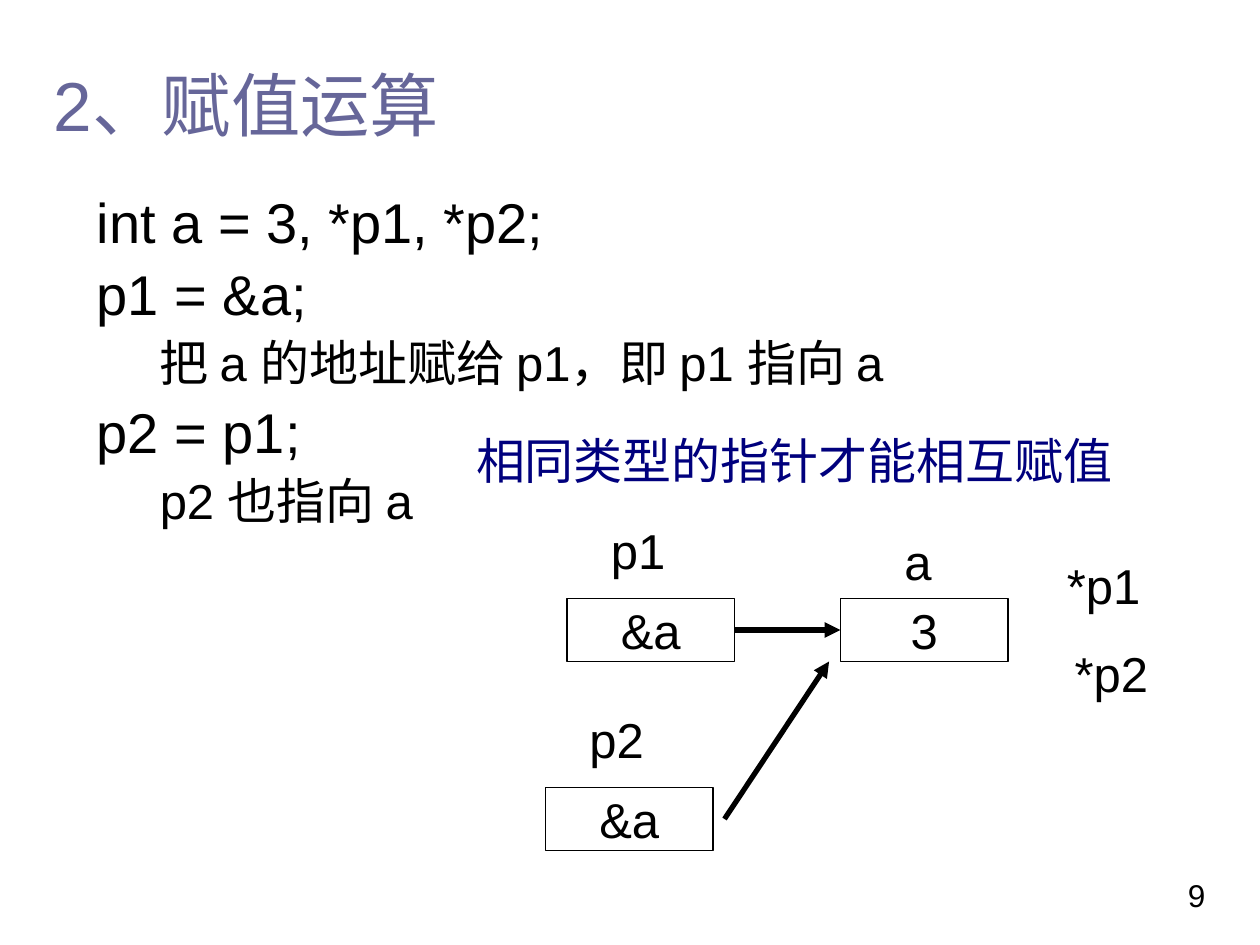
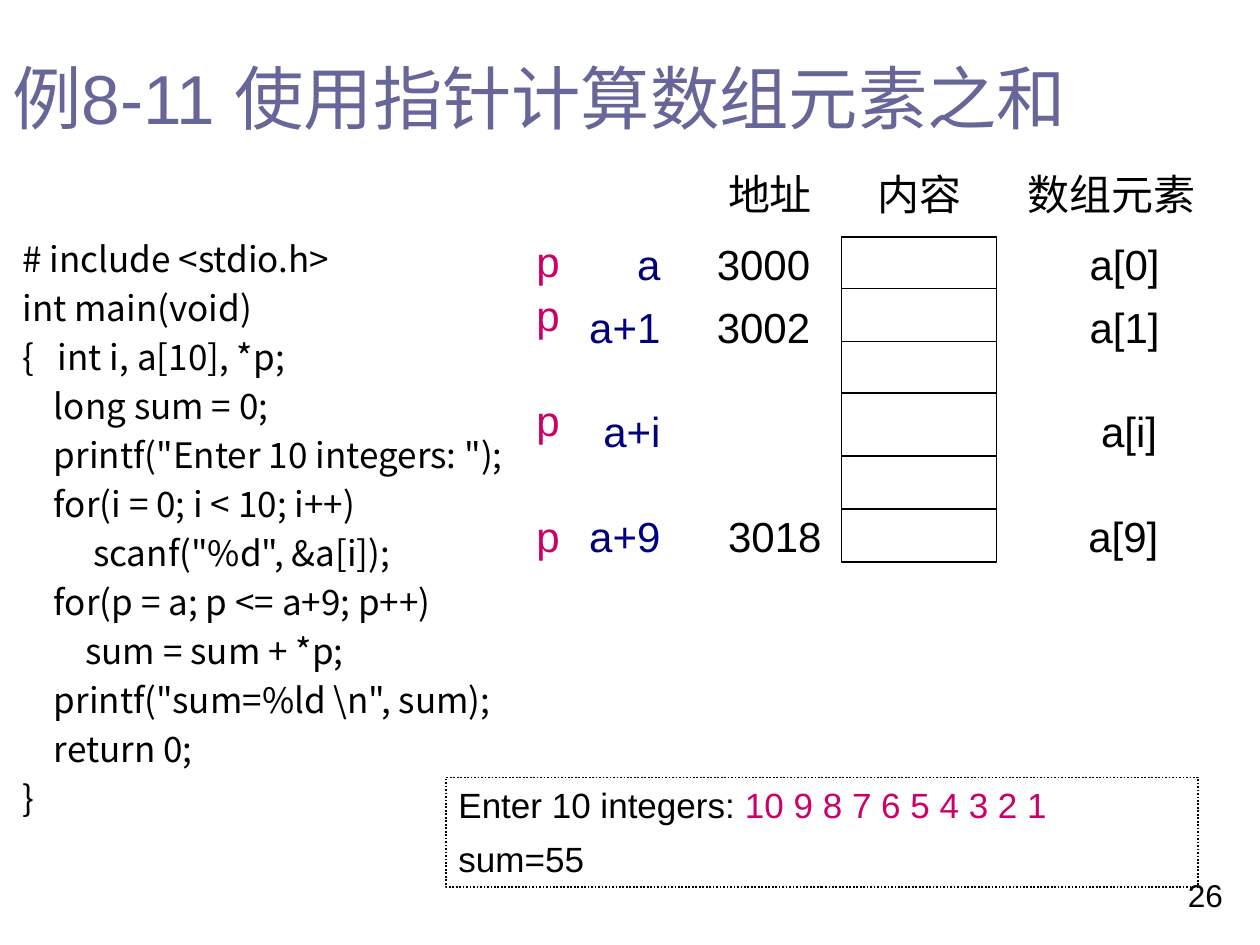
from lxml import etree
from pptx import Presentation
from pptx import util as u
from pptx.dml.color import RGBColor
from pptx.enum import dml, shapes, text
from pptx.oxml.ns import qn

BLACK = RGBColor(0x00, 0x00, 0x00)
TITLE = RGBColor(0x66, 0x66, 0x99)
NAVY = RGBColor(0x00, 0x00, 0x7D)
PINK = RGBColor(0xCC, 0x00, 0x66)
FONT, CODE_FONT, HEAD_FONT = "Arial", "Noto Sans CJK SC", "Times New Roman"
LEFT, CENTER, RIGHT = text.PP_ALIGN.LEFT, text.PP_ALIGN.CENTER, text.PP_ALIGN.RIGHT
TOP, MIDDLE = text.MSO_ANCHOR.TOP, text.MSO_ANCHOR.MIDDLE

PROGRAM = r"""# include <stdio.h>
int main(void)
{   int i, a[10], *p;
    long sum = 0;
    printf("Enter 10 integers: ");
    for(i = 0; i < 10; i++)
         scanf("%d", &a[i]);
    for(p = a; p <= a+9; p++)
        sum = sum + *p;
    printf("sum=%ld \n", sum);
    return 0;
}"""


def inches(*lengths):
    return [u.Inches(length) for length in lengths]


def style(p, size, color=BLACK, font=FONT, align=LEFT):
    p.alignment = align
    p.font.size, p.font.name, p.font.color.rgb = u.Pt(size), font, color


def fill_text(sp, lines, size, color=BLACK, font=FONT, align=LEFT,
              anchor=TOP, wrap=True, before=0, spacing=None):
    """Write one paragraph per line; space goes between paragraphs only."""
    tf = sp.text_frame
    tf.word_wrap, tf.vertical_anchor = wrap, anchor
    for i, line in enumerate(lines):
        p = tf.paragraphs[0] if i == 0 else tf.add_paragraph()
        p.add_run().text = line
        style(p, size, color, font, align)
        if i:
            p.space_before = u.Pt(before)
        if spacing:
            p.line_spacing = spacing
    return tf


def add_text(s, box, *lines, size=28, **look):
    return fill_text(s.shapes.add_textbox(*inches(*box)), lines, size, **look)


def add_rect(s, box, width=1):
    sp = s.shapes.add_shape(shapes.MSO_SHAPE.RECTANGLE, *inches(*box))
    sp.shadow.inherit = False
    sp.fill.background()
    sp.line.color.rgb, sp.line.width = BLACK, u.Pt(width)
    return sp


def add_line(s, x1, y1, x2, y2, width, arrow=False):
    line = s.shapes.add_connector(shapes.MSO_CONNECTOR.STRAIGHT, *inches(x1, y1, x2, y2))
    line.line.color.rgb, line.line.width = BLACK, u.Pt(width)
    if arrow:
        etree.SubElement(line.line._get_or_add_ln(), qn("a:tailEnd"), type="triangle")
    etree.SubElement(line._element.spPr, qn("a:effectLst"))
    return line


def new_slide(prs, title, title_box, number):
    s = prs.slides.add_slide(prs.slide_layouts[6])
    add_text(s, (9.33, 6.9, 0.55, 0.4), number, size=18, wrap=False)
    add_text(s, title_box, title, size=39.6, color=TITLE, anchor=MIDDLE)
    return s


# Slide on pointer assignment
def add_statements(s, box):
    lines = [("int a = 3, *p1, *p2;", 0), ("p1 = &a;", 0),
             ("把 a 的地址赋给 p1，即 p1 指向 a", 1),
             ("p2 = p1;", 0), ("p2 也指向 a", 1)]
    tf = add_text(s, box, *[line for line, _ in lines], size=32, before=7.5, spacing=0.9)
    tf.paragraphs[0].line_spacing = 1.2
    for p, (_, level) in zip(tf.paragraphs, lines):
        if level:
            p.font.size = u.Pt(28)
            p.space_before = u.Pt(6.5)
            p._p.get_or_add_pPr().set("marL", str(u.Inches(0.5)))


def add_variable(s, x, y, name, value, name_dx, name_dy):
    """A memory cell with its name above it."""
    sp = add_rect(s, (x, y, 1.33, 0.5))
    fill_text(sp, [value], 28, align=CENTER, anchor=MIDDLE, wrap=False)
    add_text(s, (x + name_dx, y - name_dy, 0.69, 0.57), name, wrap=False)
    return sp


def add_pointer_diagram(s, x, y):
    a = add_variable(s, x + 2.34, y + 0.5, "a", "3", 0.41, 0.58)
    p1 = add_variable(s, x + 0.17, y + 0.5, "p1", "&a", 0.25, 0.67)
    add_variable(s, x, y + 2, "p2", "&a", 0.25, 0.67)
    arrow = add_line(s, x + 1.5, y + 0.75, x + 2.34, y + 0.75, 3, arrow=True)
    arrow.begin_connect(p1, 3)
    arrow.end_connect(a, 1)
    add_line(s, x + 1.42, y + 2.25, x + 2.25, y + 1, 3, arrow=True)
    # Dereferenced names beside a
    tf = add_text(s, (x + 3.98, y + 0.04, 1.02, 1.35), "*p1", "*p2",
                  align=CENTER, anchor=MIDDLE, wrap=False, before=16)
    r = tf.paragraphs[0].add_run()
    r.text, r.font.size = " ", u.Pt(32)


def assignment_slide(prs):
    s = new_slide(prs, "2、赋值运算", (0.33, 0.45, 4.83, 0.75), "9")
    add_pointer_diagram(s, 4.33, 4.25)
    add_statements(s, (0.67, 1.33, 8.43, 3.12))
    add_text(s, (3.68, 3.42, 5.26, 0.52), "相同类型的指针才能相互赋值",
             color=NAVY, wrap=False, spacing=0.9)


# Slide on summing an array
def add_console(s, box):
    sp = add_rect(s, box)
    sp.line.dash_style = dml.MSO_LINE.ROUND_DOT
    tf = fill_text(sp, ["Enter 10 integers: ", "sum=55"], 20, before=7)
    r = tf.paragraphs[0].add_run()
    r.text, r.font.color.rgb = "10 9 8 7 6 5 4 3 2 1", PINK


def add_array_memory(s, x, y):
    width, height = 1.23, 2.58
    add_rect(s, (x, y, width, height), 0.75)
    for dy in (0.41, 0.83, 1.24, 1.74, 2.16):
        add_line(s, x, y + dy, x + width, y + dy, 0.75)

    def label(dx, dy, w, words, h=0.42, **look):
        add_text(s, (x + dx, y + dy, w, h), words, size=24, anchor=MIDDLE, **look)

    # Column headings
    for dx, w, heading in ((-1, 1, "地址"), (0.19, 1, "内容"), (1.38, 1.7, "数组元素")):
        label(dx, -0.59, w, heading, h=0.5, font=HEAD_FONT)

    # Row: offset, pointer offset, pointer, address, address x, element, element x
    rows = [(0, -0.02, "a", "3000", -1.09, "a[0]", 1.87),
            (0.5, 0.41, "a+1", "3002", -1.09, "a[1]", 1.87),
            (1.33, 1.24, "a+i", None, 0, "a[i]", 1.96),
            (2.16, 2.16, "a+9", "3018", -1, "a[9]", 1.86)]
    for dy, p_dy, pointer, address, address_dx, element, element_dx in rows:
        label(-2.72, p_dy, 0.58, "p", color=PINK, align=RIGHT)
        label(-2.34, dy, 1, pointer, color=NAVY, align=RIGHT)
        if address:
            label(address_dx, dy, 1.05, address)
        label(element_dx, dy, 1, element)


def array_sum_slide(prs):
    s = new_slide(prs, "例8-11 使用指针计算数组元素之和", (0, 0.35, 9.58, 0.83), "26")
    add_text(s, (0.08, 1.78, 5.15, 4.88), *PROGRAM.splitlines(),
             size=20, font=CODE_FONT, spacing=u.Pt(28))
    add_console(s, (3.54, 6.17, 5.97, 0.87))
    add_array_memory(s, 6.68, 1.88)


def main():
    prs = Presentation()
    prs.slide_width, prs.slide_height = inches(10, 7.5)
    assignment_slide(prs)
    array_sum_slide(prs)
    prs.save("out.pptx")


if __name__ == "__main__":
    main()
